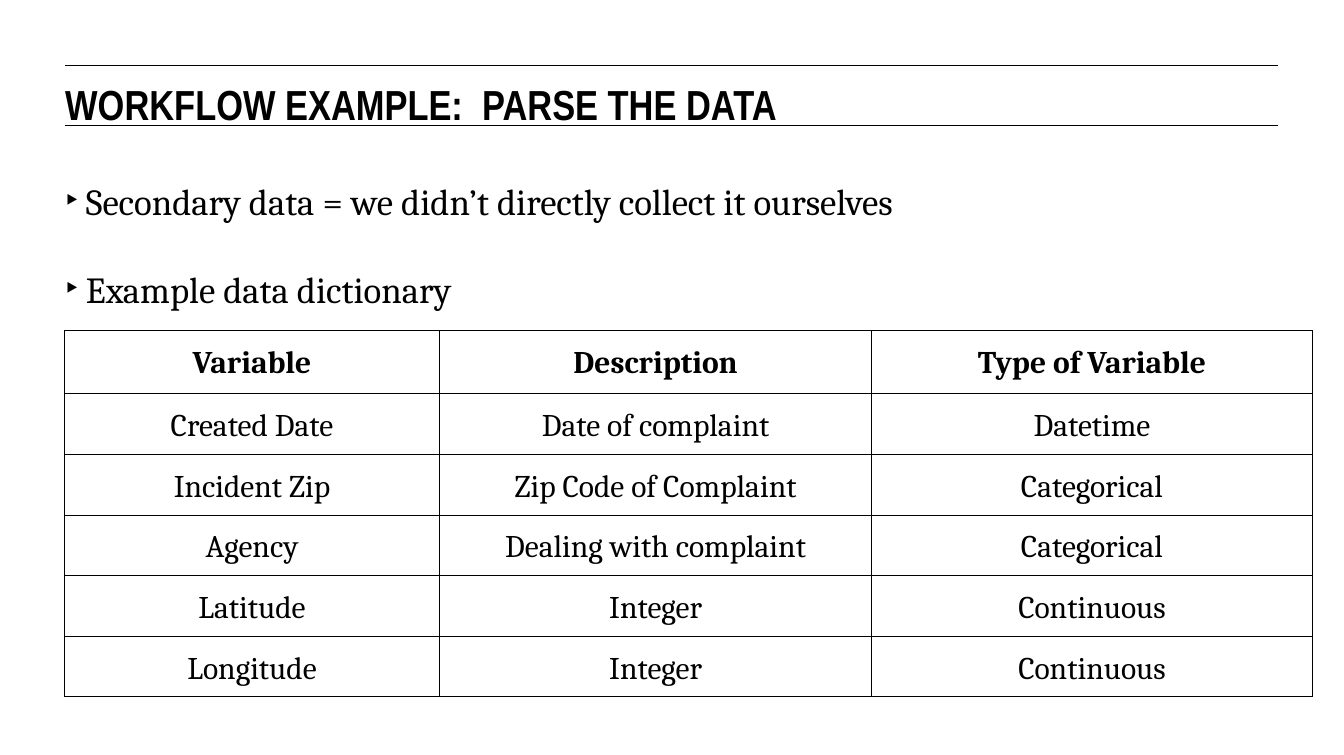
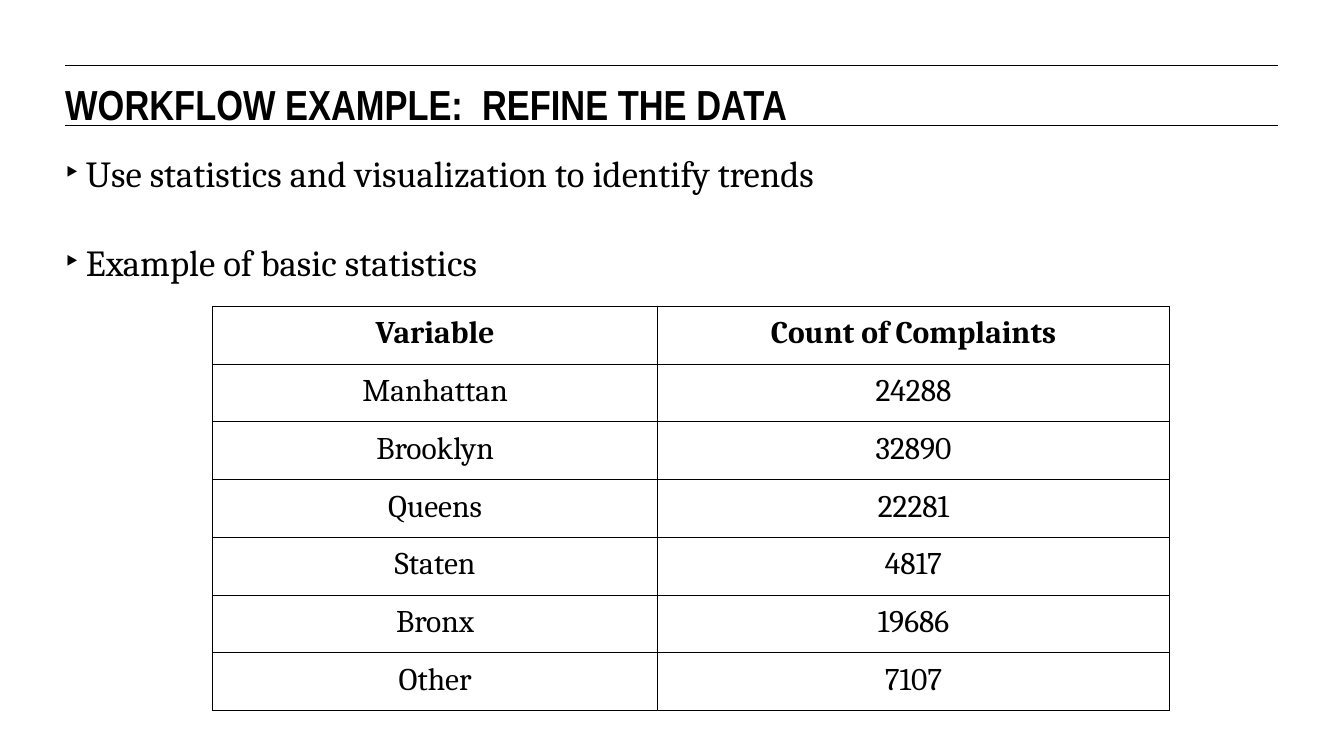
from dataclasses import dataclass

from lxml.etree import SubElement
from pptx import Presentation
from pptx.dml.color import RGBColor
from pptx.enum.shapes import MSO_CONNECTOR as Connector
from pptx.enum.text import MSO_ANCHOR as Anchor, MSO_AUTO_SIZE as AutoSize, PP_ALIGN as Align
from pptx.oxml.ns import qn
from pptx.slide import Slide, SlideLayout
from pptx.table import _Cell as Cell
from pptx.text.text import TextFrame
from pptx.util import Pt

BLACK, WHITE = "000000", "FFFFFF"
TITLE_FONT, BODY_FONT = "Arial Narrow", "Cambria"
LEFT, CONTENT_WIDTH = 49.7, 924
RULE_TOPS = (49.7, 95.8)
LINE_WIDTH = 0.75
BULLET_INDENT = 15.8
BULLET_GAP = 34
CELL_MARGIN = 7


@dataclass
class DataTable:
    left: float
    top: float
    column_widths: list[float]
    header_height: float
    row_height: float
    line_spacing: float
    rows: list[list[str]]


@dataclass
class Page:
    title: str
    bullets: list[str]
    bullets_top: float
    table: DataTable


PAGES = [
    Page(
        "WORKFLOW EXAMPLE:  PARSE THE DATA",
        ["Secondary data = we didn’t directly collect it ourselves", "Example data dictionary"],
        136,
        DataTable(49, 252, [286, 329, 336], 48, 46.2, 1.15, [
            ["Variable", "Description", "Type of Variable"],
            ["Created Date", "Date of complaint", "Datetime"],
            ["Incident Zip", "Zip Code of Complaint", "Categorical"],
            ["Agency", "Dealing with complaint", "Categorical"],
            ["Latitude", "Integer", "Continuous"],
            ["Longitude", "Integer", "Continuous"],
        ]),
    ),
    Page(
        "WORKFLOW EXAMPLE:  REFINE THE DATA",
        ["Use statistics and visualization to identify trends", "Example of basic statistics"],
        115,
        DataTable(162, 233.5, [339, 390], 44, 44, 1, [
            ["Variable", "Count of Complaints"],
            ["Manhattan", "24288"],
            ["Brooklyn", "32890"],
            ["Queens", "22281"],
            ["Staten", "4817"],
            ["Bronx", "19686"],
            ["Other", "7107"],
        ]),
    ),
]


def color(value: str) -> RGBColor:
    return RGBColor.from_string(value)


def style_font(font, name: str, size: float, bold: bool = False) -> None:
    font.name, font.size, font.bold = name, Pt(size), bold
    font.color.rgb = color(BLACK)


def place(box, left: float, top: float, width: float, height: float) -> None:
    box.left, box.top, box.width, box.height = Pt(left), Pt(top), Pt(width), Pt(height)


def reset_frame(frame: TextFrame) -> None:
    """Remove the insets and automatic fitting inherited from the template."""
    frame.margin_left = frame.margin_right = frame.margin_top = frame.margin_bottom = 0
    frame.vertical_anchor = Anchor.TOP
    frame.auto_size = AutoSize.NONE
    frame.word_wrap = True


def add_layout_rules(slide: Slide, layout: SlideLayout) -> None:
    """Draw the title rules on a slide and move them to its layout, which all slides share."""
    for number, top in enumerate(RULE_TOPS):
        rule = slide.shapes.add_connector(
            Connector.STRAIGHT, Pt(LEFT), Pt(top), Pt(LEFT + CONTENT_WIDTH), Pt(top))
        rule.line.color.rgb = color(BLACK)
        rule.line.width = Pt(LINE_WIDTH)
        SubElement(rule.element.spPr, qn("a:effectLst"))
        next(rule.element.iter(qn("p:cNvPr"))).set("id", str(20 + number))
        layout.shapes.element.append(rule.element)


def fill_title(slide: Slide, text: str) -> None:
    title = slide.shapes.title
    place(title, LEFT, 60, 608, 34)
    reset_frame(title.text_frame)
    title.text_frame.text = text
    para = title.text_frame.paragraphs[0]
    para.alignment = Align.LEFT
    style_font(para.font, TITLE_FONT, 32, bold=True)


def fill_bullets(slide: Slide, bullets: list[str], top: float) -> None:
    body = slide.placeholders[1]
    place(body, LEFT, top, CONTENT_WIDTH, 100)
    frame = body.text_frame
    reset_frame(frame)
    frame.text = "\n".join(bullets)
    for number, para in enumerate(frame.paragraphs):
        properties = para._p.get_or_add_pPr()
        properties.set("marL", str(Pt(BULLET_INDENT)))
        properties.set("indent", str(-Pt(BULLET_INDENT)))
        SubElement(properties, qn("a:buFont"), typeface="Arial")
        SubElement(properties, qn("a:buChar"), char="‣")
        para.space_before = Pt(BULLET_GAP if number else 0)
        style_font(para.font, BODY_FONT, 28)


def add_borders(cell: Cell) -> None:
    properties = cell._tc.get_or_add_tcPr()
    for side in ("lnL", "lnR", "lnT", "lnB"):
        line = SubElement(properties, qn(f"a:{side}"), w=str(Pt(LINE_WIDTH)))
        SubElement(SubElement(line, qn("a:solidFill")), qn("a:srgbClr"), val=BLACK)


def fill_cell(cell: Cell, text: str, line_spacing: float, bold: bool) -> None:
    add_borders(cell)
    cell.fill.solid()
    cell.fill.fore_color.rgb = color(WHITE)
    cell.margin_left = cell.margin_right = Pt(CELL_MARGIN)
    cell.margin_top = cell.margin_bottom = Pt(CELL_MARGIN)
    cell.text = text
    para = cell.text_frame.paragraphs[0]
    para.alignment = Align.CENTER
    para.line_spacing = line_spacing
    style_font(para.font, BODY_FONT, 24, bold)


def add_data_table(slide: Slide, data: DataTable) -> None:
    heights = [data.header_height] + [data.row_height] * (len(data.rows) - 1)
    table = slide.shapes.add_table(
        len(data.rows), len(data.column_widths), Pt(data.left), Pt(data.top),
        Pt(sum(data.column_widths)), Pt(sum(heights))).table
    table.horz_banding = False
    for column, width in zip(table.columns, data.column_widths):
        column.width = Pt(width)
    for number, (row, height, texts) in enumerate(zip(table.rows, heights, data.rows)):
        row.height = Pt(height)
        for cell, text in zip(row.cells, texts):
            fill_cell(cell, text, data.line_spacing, bold=number == 0)


def main() -> None:
    deck = Presentation()
    deck.slide_width, deck.slide_height = Pt(1024), Pt(575.25)
    layout = deck.slide_layouts[1]
    for number, page in enumerate(PAGES):
        slide = deck.slides.add_slide(layout)
        if number == 0:
            add_layout_rules(slide, layout)
        fill_title(slide, page.title)
        fill_bullets(slide, page.bullets, page.bullets_top)
        add_data_table(slide, page.table)
    deck.save("out.pptx")


if __name__ == "__main__":
    main()
